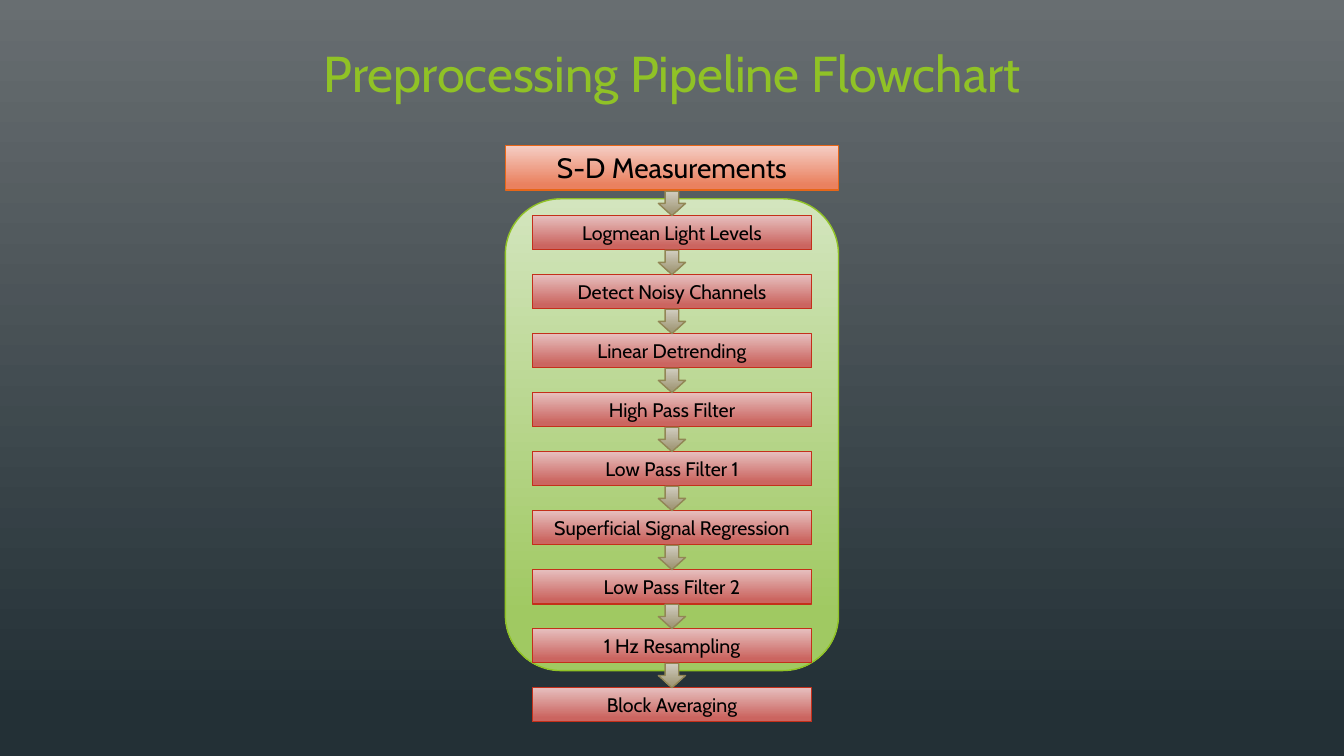
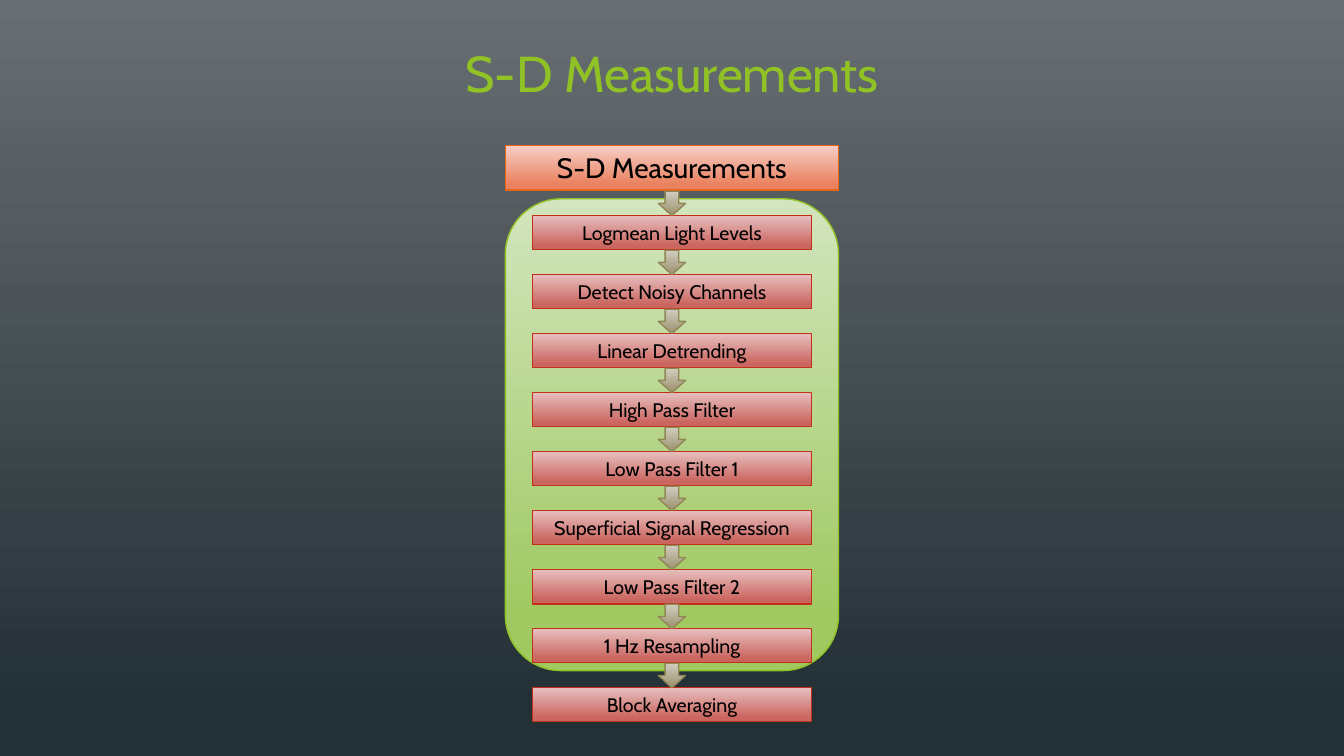
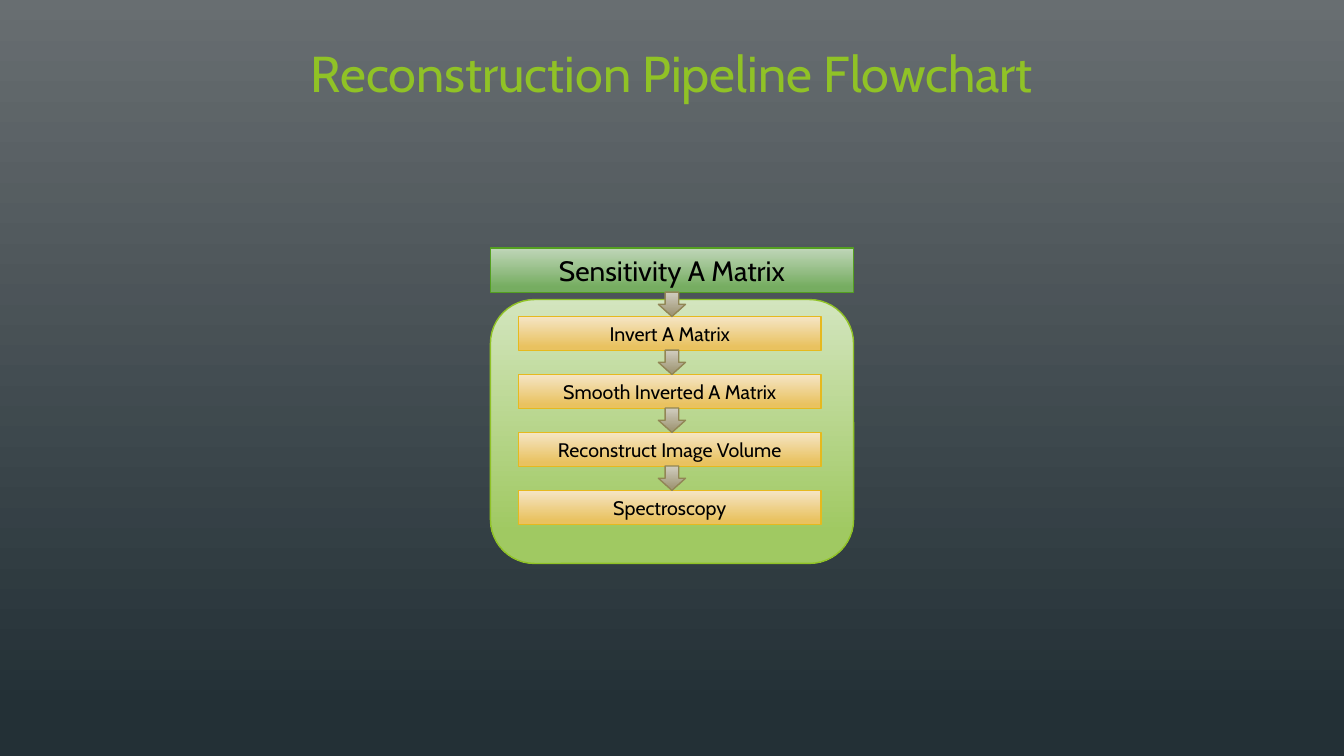
from dataclasses import dataclass

from pptx import Presentation
from pptx.dml.color import RGBColor
from pptx.enum.shapes import MSO_SHAPE as Preset
from pptx.enum.text import MSO_ANCHOR as Anchor, MSO_AUTO_SIZE as AutoSize, PP_ALIGN as Align
from pptx.util import Pt

SLIDE_WIDTH, SLIDE_HEIGHT = 960, 540
CENTER = SLIDE_WIDTH / 2
FONT = "Cabin"
GREEN, BLACK = "90C226", "000000"
TITLE_WIDTH, TITLE_HEIGHT = 677, 103.7
HEADER_HEIGHT, STEP_HEIGHT = 31.7, 24.4
ARROW_WIDTH, ARROW_HEIGHT = 19.4, 17.4


@dataclass
class Style:
    top: str
    bottom: str
    outline: str


PANEL = Style("D3E5BE", "A0C962", GREEN)
ARROW = Style("D1CDC0", "A19877", "918655")
ORANGE_HEADER = Style("F5CEC5", "EA815F", "E76618")
GREEN_HEADER = Style("C0D6B9", "76AD61", "54A021")
RED_STEP = Style("E6BFBE", "CB6560", "C42F1A")
GOLD_STEP = Style("F5E5C5", "E9C260", "E6B91E")


@dataclass
class Pipeline:
    header: str
    steps: list
    header_style: Style
    step_style: Style
    header_top: float
    panel_top: float
    panel_width: float
    panel_height: float
    first_step_top: float
    step_pitch: float
    step_left: float
    step_width: float


PREPROCESSING = Pipeline(
    header="S-D Measurements",
    steps=["Logmean Light Levels", "Detect Noisy Channels", "Linear Detrending",
           "High Pass Filter", "Low Pass Filter 1", "Superficial Signal Regression",
           "Low Pass Filter 2", "1 Hz Resampling", "Block Averaging"],
    header_style=ORANGE_HEADER, step_style=RED_STEP,
    header_top=104, panel_top=142, panel_width=238, panel_height=337,
    first_step_top=154, step_pitch=42.15, step_left=380.2, step_width=199.6)

RECONSTRUCTION = Pipeline(
    header="Sensitivity A Matrix",
    steps=["Invert A Matrix", "Smooth Inverted A Matrix",
           "Reconstruct Image Volume", "Spectroscopy"],
    header_style=GREEN_HEADER, step_style=GOLD_STEP,
    header_top=177.1, panel_top=214, panel_width=259.4, panel_height=188.5,
    first_step_top=226.1, step_pitch=41.4, step_left=370.5, step_width=216)


def color(value):
    return RGBColor.from_string(value)


def fill_gradient(fill, top, bottom, end):
    fill.gradient()
    fill.gradient_angle = 270
    for stop, value, position in zip(fill.gradient_stops, (top, bottom), (0, end)):
        stop.color.rgb = color(value)
        stop.position = position


def write(frame, text, size, text_color):
    frame.word_wrap = True
    frame.vertical_anchor = Anchor.MIDDLE
    frame.text = text
    paragraph = frame.paragraphs[0]
    paragraph.alignment = Align.CENTER
    font = paragraph.runs[0].font
    font.name, font.size = FONT, Pt(size)
    font.color.rgb = color(text_color)


def add_block(slide, preset, style, left, top, width, height):
    block = slide.shapes.add_shape(preset, Pt(left), Pt(top), Pt(width), Pt(height))
    block.shadow.inherit = False
    fill_gradient(block.fill, style.top, style.bottom, 0.88)
    block.line.color.rgb = color(style.outline)
    block.line.width = Pt(1)
    return block


def add_label(slide, text, size, style, *bounds):
    frame = add_block(slide, Preset.RECTANGLE, style, *bounds).text_frame
    write(frame, text, size, BLACK)
    frame.auto_size = AutoSize.SHAPE_TO_FIT_TEXT


def add_title(slide, text):
    title = slide.shapes.add_textbox(
        Pt(CENTER - TITLE_WIDTH / 2), 0, Pt(TITLE_WIDTH), Pt(TITLE_HEIGHT))
    write(title.text_frame, text, 36, GREEN)


def add_pipeline(slide, flow):
    panel_left = CENTER - flow.panel_width / 2
    add_block(slide, Preset.ROUNDED_RECTANGLE, PANEL, panel_left, flow.panel_top,
              flow.panel_width, flow.panel_height)
    add_label(slide, flow.header, 20, flow.header_style, panel_left, flow.header_top,
              flow.panel_width, HEADER_HEIGHT)
    for index, step in enumerate(flow.steps):
        step_top = flow.first_step_top + index * flow.step_pitch
        add_label(slide, step, 14, flow.step_style, flow.step_left, step_top,
                  flow.step_width, STEP_HEIGHT)
        add_block(slide, Preset.DOWN_ARROW, ARROW, CENTER - ARROW_WIDTH / 2,
                  step_top - ARROW_HEIGHT, ARROW_WIDTH, ARROW_HEIGHT)


def main():
    deck = Presentation()
    deck.slide_width, deck.slide_height = Pt(SLIDE_WIDTH), Pt(SLIDE_HEIGHT)
    fill_gradient(deck.slide_master.background.fill, "686E71", "233036", 0.94)
    for title, flow in (("Preprocessing Pipeline Flowchart", PREPROCESSING),
                        ("S-D Measurements", PREPROCESSING),
                        ("Reconstruction Pipeline Flowchart", RECONSTRUCTION)):
        slide = deck.slides.add_slide(deck.slide_layouts[6])
        add_title(slide, title)
        add_pipeline(slide, flow)
    deck.save("out.pptx")


if __name__ == "__main__":
    main()
